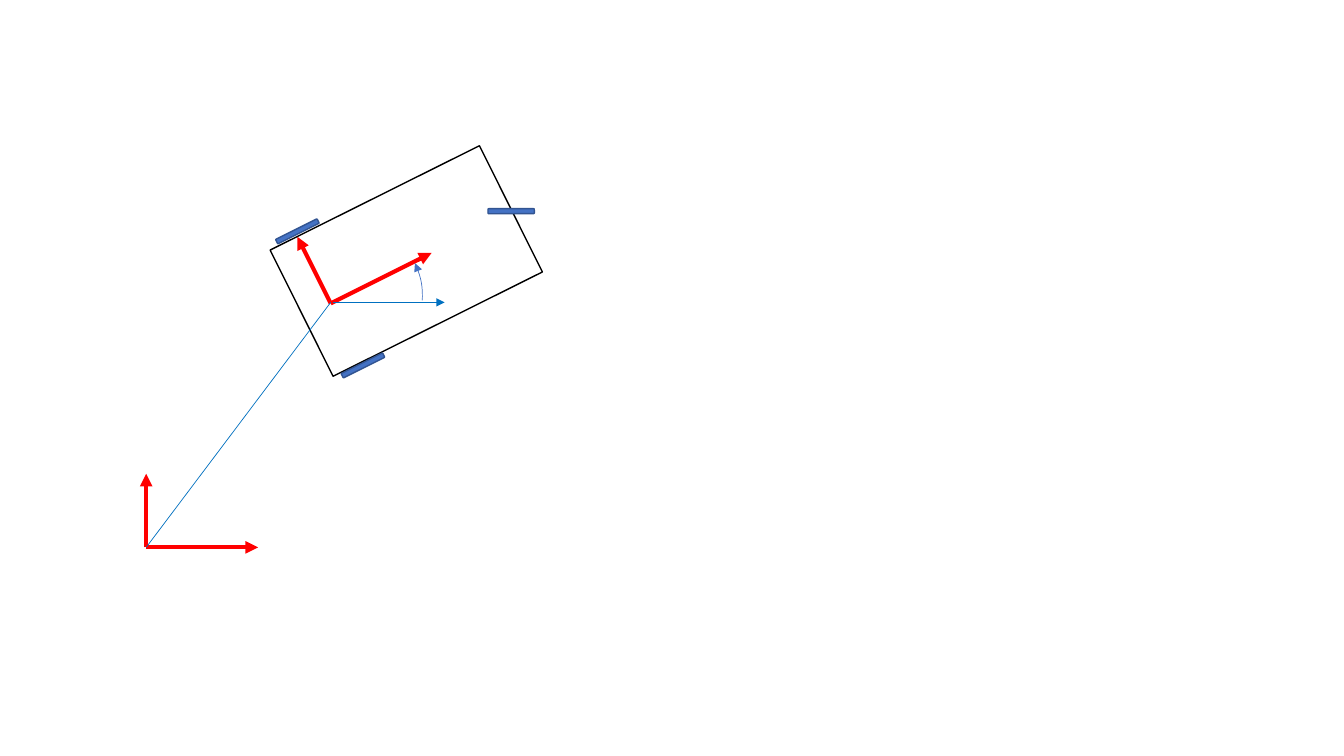
from dataclasses import dataclass
from typing import Optional

from lxml import etree
from pptx import Presentation
from pptx.dml.color import RGBColor
from pptx.enum import shapes
from pptx.oxml import ns
from pptx.util import Inches, Pt

RED = RGBColor(0xFF, 0x00, 0x00)
BLACK = RGBColor(0x00, 0x00, 0x00)
WHEEL_BLUE = RGBColor(0x44, 0x72, 0xC4)
WHEEL_EDGE = RGBColor(0x32, 0x54, 0x91)
GUIDE_BLUE = RGBColor(0x00, 0x70, 0xC0)

HEADING = 333.5
WHEEL_SIZE = (0.46, 0.05)
WORLD_ORIGIN = (1.45, 5.43)
ROBOT_ORIGIN = (3.28, 3.01)


@dataclass
class Segment:
    start: tuple[float, float]
    end: tuple[float, float]
    color: RGBColor = RED
    width: float = 3
    arrow: bool = True


@dataclass
class Part:
    kind: shapes.MSO_SHAPE
    left: float
    top: float
    size: tuple[float, float]
    line: RGBColor
    width: float = 1
    fill: Optional[RGBColor] = None
    rotation: float = 0


WORLD_AXES = [Segment(WORLD_ORIGIN, (2.56, 5.43)), Segment(WORLD_ORIGIN, (1.45, 4.7))]
ROBOT_AXES = [Segment(ROBOT_ORIGIN, (4.28, 2.51)), Segment(ROBOT_ORIGIN, (2.95, 2.35))]
POSITION = Segment(WORLD_ORIGIN, (3.28, 3), GUIDE_BLUE, 0.5, arrow=False)
REFERENCE = Segment((3.3, 3), (4.41, 3), GUIDE_BLUE, 0.25)

CHASSIS = Part(shapes.MSO_SHAPE.RECTANGLE, 2.87, 1.89, (2.32, 1.4), BLACK,
               rotation=HEADING)
WHEELS = [
    Part(shapes.MSO_SHAPE.ROUNDED_RECTANGLE, left, top, WHEEL_SIZE, WHEEL_EDGE,
         fill=WHEEL_BLUE, rotation=rotation)
    for left, top, rotation in [(2.72, 2.27, HEADING), (3.37, 3.6, HEADING), (4.84, 2.07, 0)]
]
HEADING_ARC = Part(shapes.MSO_SHAPE.ARC, 2.39, 2.11, (1.8, 1.66), WHEEL_BLUE, width=0.5)


def add_arrowhead(shape, end: str) -> None:
    """Put a triangle at the headEnd (start) or tailEnd (end) of a line."""
    etree.SubElement(shape.line._get_or_add_ln(), ns.qn(f"a:{end}"), type="triangle")


def draw_segment(container, segment: Segment) -> None:
    points = [Inches(value) for value in segment.start + segment.end]
    connector = container.add_connector(shapes.MSO_CONNECTOR.STRAIGHT, *points)
    connector.line.color.rgb = segment.color
    connector.line.width = Pt(segment.width)
    if segment.arrow:
        add_arrowhead(connector, "tailEnd")
    etree.SubElement(connector._element.spPr, ns.qn("a:effectLst"))


def draw_part(container, part: Part):
    box = [Inches(value) for value in (part.left, part.top, *part.size)]
    shape = container.add_shape(part.kind, *box)
    shape.rotation = part.rotation
    shape.shadow.inherit = False
    shape.line.color.rgb = part.line
    shape.line.width = Pt(part.width)
    if part.fill is None:
        shape.fill.background()
    else:
        shape.fill.solid()
        shape.fill.fore_color.rgb = part.fill
    return shape


def main() -> None:
    deck = Presentation()
    deck.slide_width, deck.slide_height = Inches(13.33), Inches(7.5)
    page = deck.slides.add_slide(deck.slide_layouts[6])

    for axis in WORLD_AXES:
        draw_segment(page.shapes, axis)
    robot_frame = page.shapes.add_group_shape()
    for axis in ROBOT_AXES:
        draw_segment(robot_frame.shapes, axis)

    for part in [CHASSIS, *WHEELS]:
        draw_part(page.shapes, part)
    draw_segment(page.shapes, POSITION)

    arc = draw_part(page.shapes, HEADING_ARC)
    # One adjustment unit is 100000/60000 of a degree.
    for index, degrees in enumerate((338.3, 2.54)):
        arc.adjustments[index] = degrees * 0.6
    add_arrowhead(arc, "headEnd")
    draw_segment(page.shapes, REFERENCE)

    deck.save("out.pptx")


if __name__ == "__main__":
    main()
